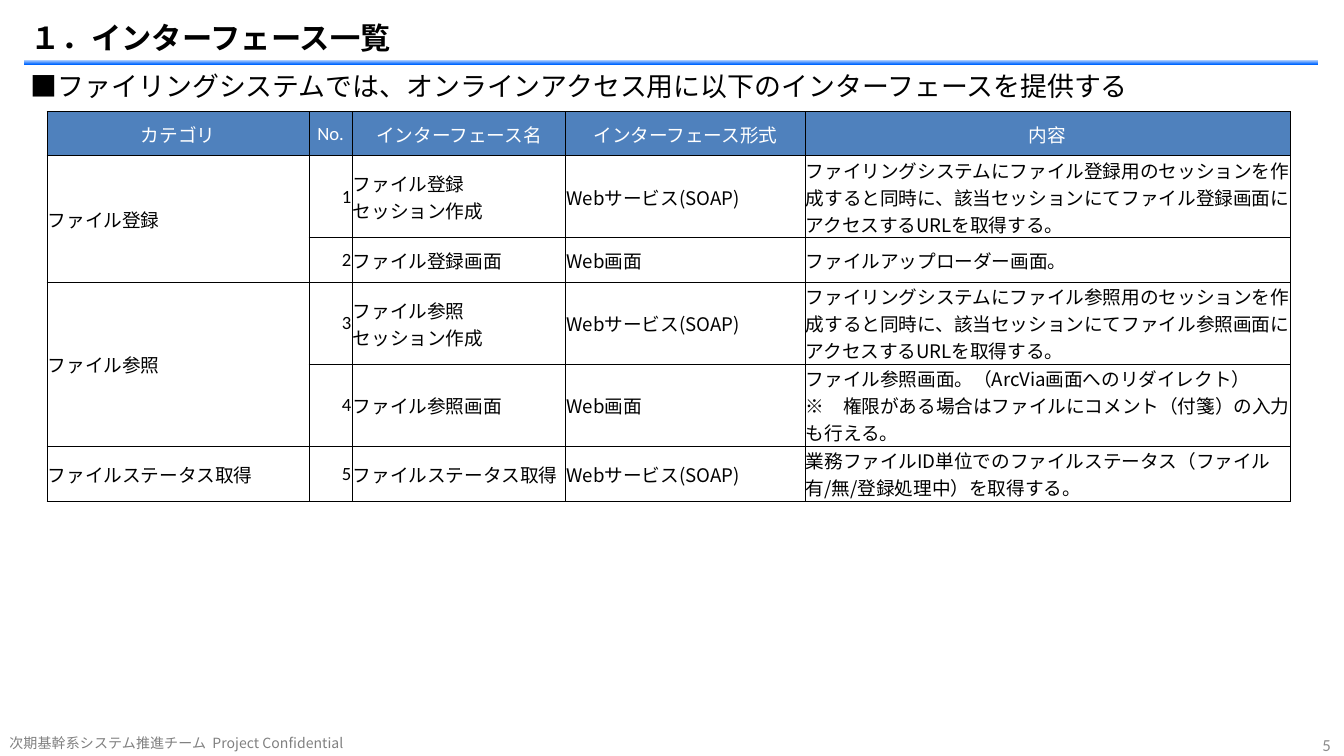
from pptx import Presentation
from pptx.dml.color import RGBColor
from pptx.enum import shapes, text
from pptx.oxml.ns import qn
from pptx.util import Inches, Pt
from lxml import etree

# Content
TITLE = "１．インターフェース一覧"
LEAD = "■ファイリングシステムでは、オンラインアクセス用に以下のインターフェースを提供する"
FOOTER = "次期基幹系システム推進チーム  Project Confidential"
PAGE_NUMBER = "5"
HEADERS = ["カテゴリ", "No.", "インターフェース名", "インターフェース形式", "内容"]
SOAP, SCREEN = "Webサービス(SOAP)", "Web画面"
SESSION = ("ファイリングシステムにファイル{0}用のセッションを作成すると同時に、"
           "該当セッションにてファイル{0}画面にアクセスするURLを取得する。")
CATEGORIES = [
    ("ファイル登録", [
        ("ファイル登録\nセッション作成", SOAP, SESSION.format("登録")),
        ("ファイル登録画面", SCREEN, "ファイルアップローダー画面。"),
    ]),
    ("ファイル参照", [
        ("ファイル参照\nセッション作成", SOAP, SESSION.format("参照")),
        ("ファイル参照画面", SCREEN,
         "ファイル参照画面。（ArcVia画面へのリダイレクト）\n"
         "※　権限がある場合はファイルにコメント（付箋）の入力も行える。"),
    ]),
    ("ファイルステータス取得", [
        ("ファイルステータス取得", SOAP,
         "業務ファイルID単位でのファイルステータス（ファイル有/無/登録処理中）を取得する。"),
    ]),
]
COLUMN_WIDTHS = [1.95, 0.32, 1.59, 1.78, 3.61]
ROW_HEIGHTS = [0.33, 0.61, 0.33, 0.61, 0.61, 0.41]
COLORS = {"black": "000000", "white": "FFFFFF", "header": "4F81BD", "footer": "808080",
          "page": "8C8C8C", "rule_light": "A9CBFF", "rule_dark": "0066FF"}
LATIN, JAPANESE = "Calibri", "Noto Sans CJK JP"
LEFT, CENTER, RIGHT = text.PP_ALIGN.LEFT, text.PP_ALIGN.CENTER, text.PP_ALIGN.RIGHT
MIDDLE, BOTTOM = text.MSO_ANCHOR.MIDDLE, text.MSO_ANCHOR.BOTTOM


def rgb(name):
    return RGBColor.from_string(COLORS[name])


def write(frame, content, size=10, font=JAPANESE, color="black", bold=False,
          align=LEFT, spacing=None):
    """Fill a text frame, one paragraph per line of content."""
    frame.word_wrap = True
    for i, line in enumerate(content.split("\n")):
        paragraph = frame.add_paragraph() if i else frame.paragraphs[0]
        paragraph.alignment = align
        paragraph.line_spacing = spacing
        run = paragraph.add_run()
        run.text = line
        run.font.size, run.font.bold, run.font.name = Pt(size), bold, font
        run.font.color.rgb = rgb(color)
        east_asian = etree.SubElement(run.font._element, qn("a:ea"))
        east_asian.set("typeface", JAPANESE)


def add_text(content, box, anchor=MIDDLE, insets=(0.04, 0.04), **style):
    frame = slide.shapes.add_textbox(*map(Inches, box)).text_frame
    frame.vertical_anchor = anchor
    frame.margin_left = frame.margin_right = Inches(insets[0])
    frame.margin_top = frame.margin_bottom = Inches(insets[1])
    write(frame, content, **style)


def add_borders(cell):
    properties = cell._tc.get_or_add_tcPr()
    for side in ("lnL", "lnR", "lnT", "lnB"):
        line = etree.SubElement(properties, qn("a:" + side), w=str(Pt(0.5)))
        fill = etree.SubElement(line, qn("a:solidFill"))
        etree.SubElement(fill, qn("a:srgbClr"), val=COLORS["black"])


def fill_cell(row, column, content, fill=None, **style):
    cell = table.cell(row, column)
    cell.vertical_anchor = MIDDLE
    if fill:
        cell.fill.solid()
        cell.fill.fore_color.rgb = rgb(fill)
    write(cell.text_frame, content, **style)


# A 16:9 slide
presentation = Presentation()
presentation.slide_width = Inches(10)
presentation.slide_height = Inches(10 * 9 / 16)
slide = presentation.slides.add_slide(presentation.slide_layouts[6])

# Footer and rule under the title
add_text(FOOTER, (0, 5.44, 3.34, 0.19), anchor=BOTTOM, insets=(0.07, 0.04),
         size=7.5, color="footer", spacing=0.9)
rule = slide.shapes.add_shape(shapes.MSO_SHAPE.RECTANGLE,
                              *map(Inches, (0.18, 0.45, 9.63, 0.03)))
rule.shadow.inherit = False
rule.line.fill.background()
rule.fill.gradient()
rule.fill.gradient_angle = 270
for stop, position, shade in zip(rule.fill.gradient_stops, (0, 1), ("rule_light", "rule_dark")):
    stop.position = position
    stop.color.rgb = rgb(shade)

# Title, page number and lead sentence
add_text(TITLE, (0.19, 0.1, 9, 0.35), size=16.2, font=LATIN, bold=True)
add_text(PAGE_NUMBER, (7.67, 5.45, 2.33, 0.18), insets=(0.1, 0.05), size=9, font=LATIN,
         color="page", align=RIGHT)
add_text(LEAD, (0.19, 0.46, 9, 0.35), size=14.4, font=LATIN)

# Interface table
table = slide.shapes.add_table(
    len(ROW_HEIGHTS), len(COLUMN_WIDTHS), Inches(0.35), Inches(0.83),
    Inches(sum(COLUMN_WIDTHS)), Inches(sum(ROW_HEIGHTS))).table
table.horz_banding = False
for column, width in zip(table.columns, COLUMN_WIDTHS):
    column.width = Inches(width)
for row, height in zip(table.rows, ROW_HEIGHTS):
    row.height = Inches(height)
for cell in table.iter_cells():
    cell.margin_left = cell.margin_right = cell.margin_top = Pt(0.5)
    cell.margin_bottom = 0
    add_borders(cell)
    cell.fill.background()

for column, header in enumerate(HEADERS):
    fill_cell(0, column, header, fill="header", color="white", align=CENTER,
              font=LATIN if header == "No." else JAPANESE)
number = 1
for category, interfaces in CATEGORIES:
    if len(interfaces) > 1:
        table.cell(number, 0).merge(table.cell(number + len(interfaces) - 1, 0))
    fill_cell(number, 0, category)
    for details in interfaces:
        fill_cell(number, 1, str(number), font=LATIN, align=RIGHT)
        for column, detail in enumerate(details, start=2):
            fill_cell(number, column, detail)
        number += 1

presentation.save("out.pptx")
